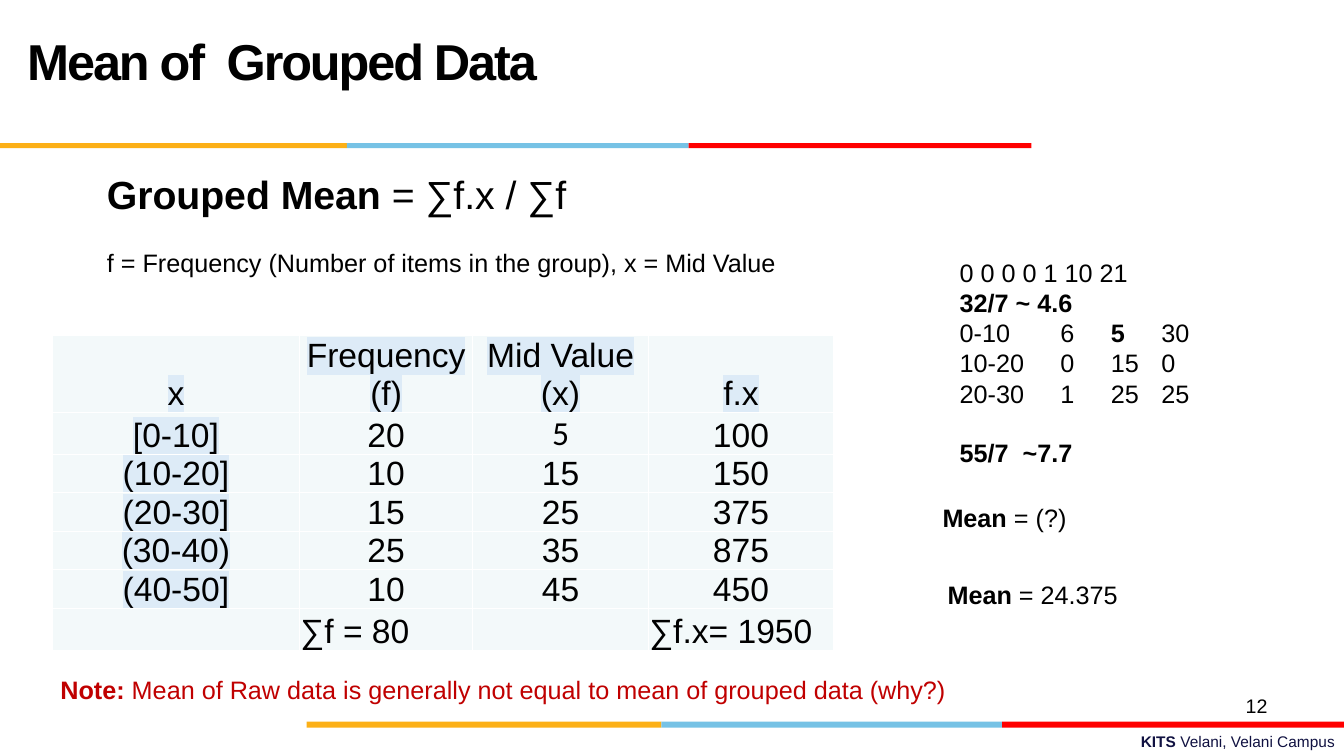
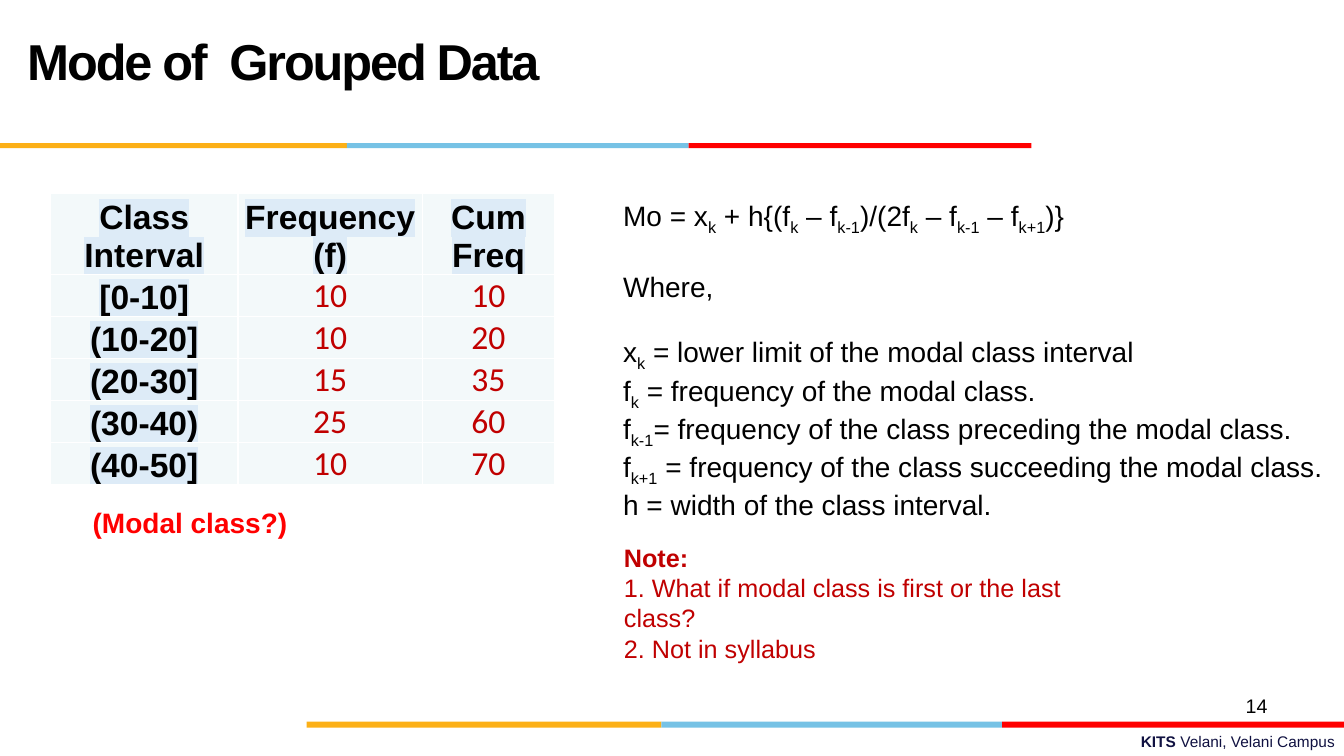
from dataclasses import dataclass

import pptx
import pptx.dml.color
import pptx.enum.shapes
import pptx.enum.text
import pptx.oxml.ns
import pptx.oxml.xmlchemy
import pptx.shapes.base
import pptx.slide
import pptx.table
import pptx.text.text
import pptx.util
from lxml import etree

Inches = pptx.util.Inches
Pt = pptx.util.Pt
RGBColor = pptx.dml.color.RGBColor
Align = pptx.enum.text.PP_ALIGN
Anchor = pptx.enum.text.MSO_ANCHOR
qn = pptx.oxml.ns.qn

BLACK = RGBColor(0x00, 0x00, 0x00)
WHITE = RGBColor(0xFF, 0xFF, 0xFF)
NAVY = RGBColor(0x10, 0x11, 0x41)
GOLD = RGBColor(0xFC, 0xB0, 0x17)
SKY = RGBColor(0x76, 0xC2, 0xE5)
RED = RGBColor(0xFF, 0x00, 0x00)
DARK_RED = RGBColor(0xC0, 0x00, 0x00)
CELL_FILL = RGBColor(0xF3, 0xF9, 0xFA)
HIGHLIGHT = RGBColor(0xDD, 0xEB, 0xF7)
SANS = "Arial"
TABLE_SANS = "Calibri"


@dataclass(frozen=True)
class Box:
    left: float
    top: float
    width: float
    height: float


@dataclass(frozen=True)
class Line:
    """Text between asterisks is bold, between bars subscript."""
    text: str
    size: float = 18
    gap: float = 0
    color: RGBColor = BLACK
    align: Align = Align.LEFT
    tabs: tuple[float, ...] = ()


@dataclass(frozen=True)
class Band:
    top: float
    height: float
    edges: tuple[float, ...]


@dataclass(frozen=True)
class CellStyle:
    font: str = SANS
    color: RGBColor = BLACK
    bold: bool = False
    highlighted: bool = False


@dataclass(frozen=True)
class Grid:
    left: float
    top: float
    widths: tuple[float, ...]
    heights: tuple[float, ...]
    rows: tuple[tuple[str, ...], ...]
    label_style: CellStyle
    value_style: CellStyle


BANDS = (
    Band(1.42, 0.05, (0, 3.44, 6.83, 10.23)),
    Band(7.16, 0.06, (3.04, 6.56, 9.94, 13.33)),
)
TITLE_BOX = Box(0.17, 0.02, 9.81, 1.25)
FOOTER_BOX = Box(4.78, 7.21, 8.56, 0.29)
NUMBER_BOX = Box(9.56, 6.83, 3.11, 0.52)


def place(shape: pptx.shapes.base.BaseShape, box: Box) -> None:
    shape.left, shape.top = Inches(box.left), Inches(box.top)
    shape.width, shape.height = Inches(box.width), Inches(box.height)


def add_color(parent: etree._Element, tag: str, color: RGBColor) -> None:
    holder = etree.SubElement(parent, qn(tag))
    etree.SubElement(holder, qn("a:srgbClr"), val=str(color))


def write_lines(frame: pptx.text.text.TextFrame, lines: list[Line]) -> None:
    frame.word_wrap = True
    frame.auto_size = pptx.enum.text.MSO_AUTO_SIZE.NONE
    for index, line in enumerate(lines):
        paragraph = frame.add_paragraph() if index else frame.paragraphs[0]
        paragraph.alignment = line.align
        paragraph.space_before = Pt(line.gap)
        paragraph.font.name = SANS
        paragraph.font.size = Pt(line.size)
        paragraph.font.color.rgb = line.color
        properties = paragraph._p.get_or_add_pPr()
        properties.set("marL", "0")
        properties.set("indent", "0")
        defaults = properties.find(qn("a:defRPr"))
        defaults.addprevious(etree.Element(qn("a:buNone")))
        if line.tabs:
            stops = etree.Element(qn("a:tabLst"))
            for position in line.tabs:
                etree.SubElement(stops, qn("a:tab"), pos=str(Inches(position)), algn="l")
            defaults.addprevious(stops)
        for bold_index, part in enumerate(line.text.split("*")):
            for subscript_index, piece in enumerate(part.split("|")):
                if not piece:
                    continue
                run = paragraph.add_run()
                run.text = piece
                run.font.bold = bold_index % 2 == 1
                if subscript_index % 2:
                    run._r.get_or_add_rPr().set("baseline", "-25000")


def add_text(slide: pptx.slide.Slide, box: Box, lines: list[Line]) -> None:
    shape = slide.shapes.add_textbox(0, 0, 0, 0)
    place(shape, box)
    write_lines(shape.text_frame, lines)


def fill_body(slide: pptx.slide.Slide, box: Box, lines: list[Line]) -> None:
    body = slide.placeholders[1]
    place(body, box)
    body.text_frame.vertical_anchor = Anchor.TOP
    write_lines(body.text_frame, lines)


def add_bands(slide: pptx.slide.Slide) -> None:
    for band in BANDS:
        for color, start, end in zip((GOLD, SKY, RED), band.edges, band.edges[1:]):
            shape = slide.shapes.add_shape(
                pptx.enum.shapes.MSO_SHAPE.RECTANGLE, 0, 0, 0, 0)
            place(shape, Box(start, band.top, end - start, band.height))
            shape.fill.solid()
            shape.fill.fore_color.rgb = color
            shape.line.fill.background()
            shape.shadow.inherit = False


def add_slide(presentation: pptx.presentation.Presentation, title: str,
              number: int) -> pptx.slide.Slide:
    slide = presentation.slides.add_slide(presentation.slide_layouts[1])
    add_bands(slide)
    add_text(slide, FOOTER_BOX,
             [Line("*KITS *Velani, Velani Campus", 11, color=NAVY, align=Align.RIGHT)])
    add_text(slide, NUMBER_BOX, [Line(str(number), 14, align=Align.RIGHT)])
    heading = slide.shapes.title
    place(heading, TITLE_BOX)
    heading.text_frame.vertical_anchor = Anchor.MIDDLE
    write_lines(heading.text_frame, [Line(f"*{title}*", 36)])
    paragraph = heading.text_frame.paragraphs[0]
    paragraph.line_spacing = Pt(36)
    for run in paragraph.runs:
        run._r.get_or_add_rPr().set("spc", "-150")
    return slide


def style_cell(cell: pptx.table._Cell, text: str, style: CellStyle) -> None:
    cell.margin_left = cell.margin_right = cell.margin_top = Inches(0.01)
    cell.margin_bottom = 0
    cell.vertical_anchor = Anchor.BOTTOM
    cell.fill.solid()
    cell.fill.fore_color.rgb = CELL_FILL
    properties = cell._tc.get_or_add_tcPr()
    for index, side in enumerate(("a:lnL", "a:lnR", "a:lnT", "a:lnB")):
        border = etree.Element(qn(side), w=str(Pt(1)))
        add_color(border, "a:solidFill", WHITE)
        properties.insert(index, border)
    paragraph = cell.text_frame.paragraphs[0]
    paragraph.alignment = Align.LEFT if text.startswith("∑") else Align.CENTER
    paragraph.font.name = style.font
    paragraph.font.size = Pt(24)
    paragraph.font.color.rgb = style.color
    paragraph.font.bold = style.bold
    if text:
        run = paragraph.add_run()
        run.text = text
        if style.highlighted:
            add_color(run._r.get_or_add_rPr(), "a:highlight", HIGHLIGHT)


def add_grid(slide: pptx.slide.Slide, grid: Grid) -> pptx.table.Table:
    table = slide.shapes.add_table(
        len(grid.rows), len(grid.widths), Inches(grid.left), Inches(grid.top),
        Inches(sum(grid.widths)), Inches(sum(grid.heights))).table
    table.first_row = table.horz_banding = False
    for column, width in zip(table.columns, grid.widths):
        column.width = Inches(width)
    for row, height in zip(table.rows, grid.heights):
        row.height = Inches(height)
    for row_index, texts in enumerate(grid.rows):
        for column_index, text in enumerate(texts):
            is_label = row_index == 0 or column_index == 0
            style_cell(table.cell(row_index, column_index), text,
                       grid.label_style if is_label else grid.value_style)
    return table


def build_mean_slide(presentation: pptx.presentation.Presentation) -> None:
    slide = add_slide(presentation, "Mean of  Grouped Data", 12)
    fill_body(slide, Box(0.96, 1.64, 7.21, 1.48), [
        Line("*Grouped Mean* = ∑f.x / ∑f", 28),
        Line("f = Frequency (Number of items in the group), x = Mid Value", gap=21),
    ])
    table = add_grid(slide, Grid(
        0.52, 3.33, (2.45, 1.72, 1.74, 1.84),
        (0.76, 0.41, 0.38, 0.38, 0.38, 0.38, 0.42),
        (
            ("x", "Frequency (f)", "Mid Value (x)", "f.x"),
            ("[0-10]", "20", "5", "100"),
            ("(10-20]", "10", "15", "150"),
            ("(20-30]", "15", "25", "375"),
            ("(30-40)", "25", "35", "875"),
            ("(40-50]", "10", "45", "450"),
            ("", "∑f = 80", "", "∑f.x= 1950"),
        ),
        CellStyle(highlighted=True), CellStyle()))
    table.cell(1, 2).text_frame.paragraphs[0].font.name = TABLE_SANS
    add_text(slide, Box(9.25, 4.93, 2.5, 0.4), [Line("*Mean* = (?)")])
    add_text(slide, Box(9.3, 5.7, 2.5, 0.4), [Line("*Mean* = 24.375")])
    add_text(slide, Box(0.5, 6.64, 9.81, 0.4), [
        Line("*Note:* Mean of Raw data is generally not equal to mean of grouped data (why?)",
             color=DARK_RED)])
    tabs = (0.92, 1.2, 1.58)
    add_text(slide, Box(9.42, 2.5, 2.8, 2.3), [
        Line("0 0 0 0 1 10 21"),
        Line("*32/7 ~ 4.6*"),
        Line("0-10\t6\t*5*\t30", tabs=tabs),
        Line("10-20\t0\t15\t0", tabs=tabs),
        Line("20-30\t1\t25\t25", tabs=tabs),
        Line("*55/7  ~7.7*", gap=21),
    ])


def build_mode_slide(presentation: pptx.presentation.Presentation) -> None:
    slide = add_slide(presentation, "Mode of  Grouped Data", 14)
    fill_body(slide, Box(6.08, 1.92, 7.25, 3.4), [
        Line("Mo = x|k| + h{(f|k| – f|k-1|)/(2f|k| – f|k-1| – f|k+1|)}", 20),
        Line("Where,", 20, 23),
        Line("x|k| = lower limit of the modal class interval", 20, 23),
        Line("f|k| = frequency of the modal class.", 20),
        Line("f|k-1|= frequency of the class preceding the modal class.", 20),
        Line("f|k+1| = frequency of the class succeeding the modal class.", 20),
        Line("h = width of the class interval.", 20),
    ])
    add_grid(slide, Grid(
        0.5, 1.92, (1.86, 1.83, 1.31), (0.8,) + (0.41,) * 5,
        (
            ("Class Interval", "Frequency (f)", "Cum Freq"),
            ("[0-10]", "10", "10"),
            ("(10-20]", "10", "20"),
            ("(20-30]", "15", "35"),
            ("(30-40)", "25", "60"),
            ("(40-50]", "10", "70"),
        ),
        CellStyle(bold=True, highlighted=True), CellStyle(TABLE_SANS, DARK_RED)))
    add_text(slide, Box(6.09, 5.33, 4.64, 1.31), [
        Line("*Note:*", color=DARK_RED),
        Line("1. What if modal class is first or the last class?", color=DARK_RED),
        Line("2. Not in syllabus", color=DARK_RED),
    ])
    add_text(slide, Box(0.82, 4.97, 4.2, 0.44), [Line("*(Modal class?)*", 20, color=RED)])


def main() -> None:
    presentation = pptx.Presentation()
    presentation.slide_width, presentation.slide_height = Inches(13.33), Inches(7.5)
    build_mean_slide(presentation)
    build_mode_slide(presentation)
    presentation.save("out.pptx")


if __name__ == "__main__":
    main()
